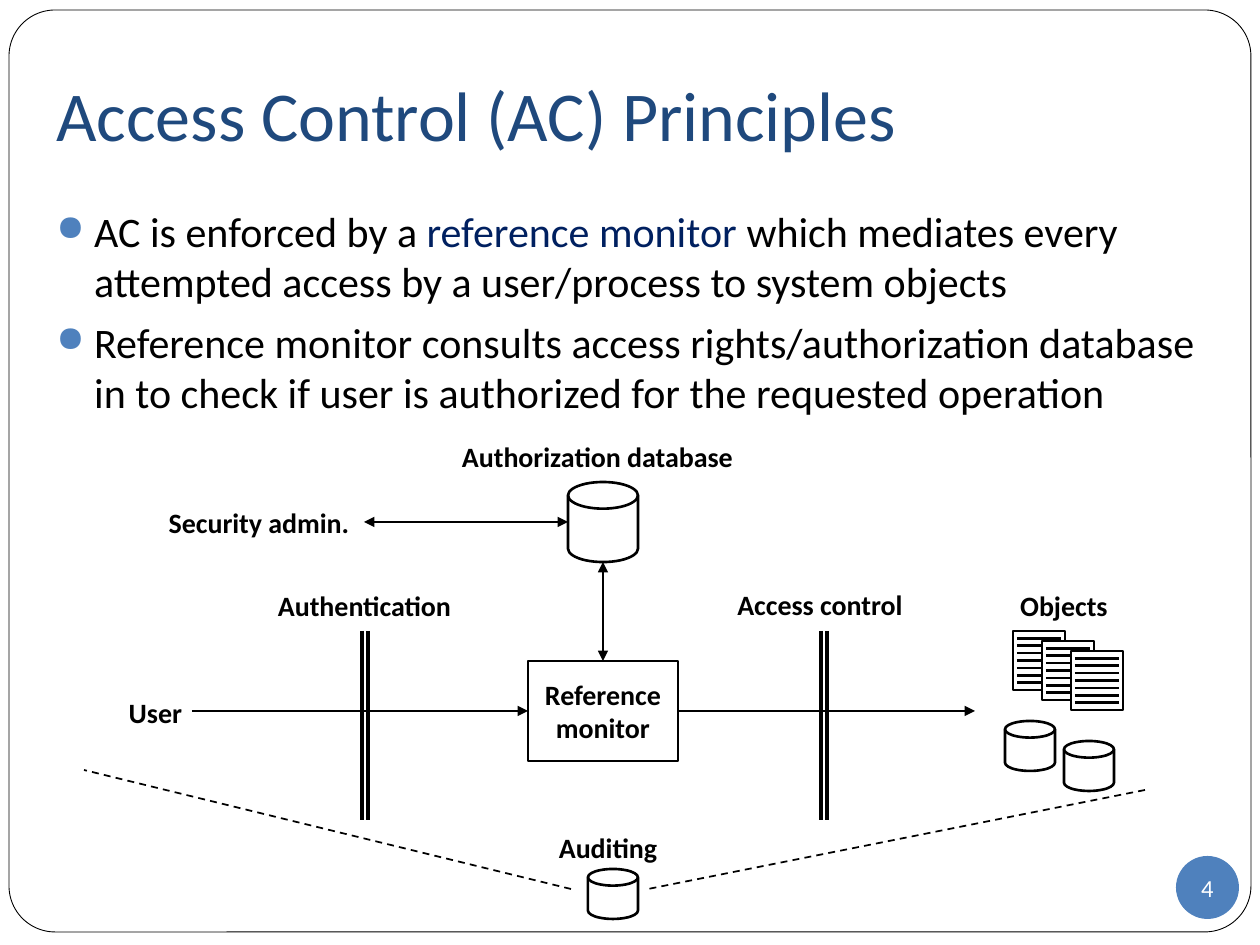
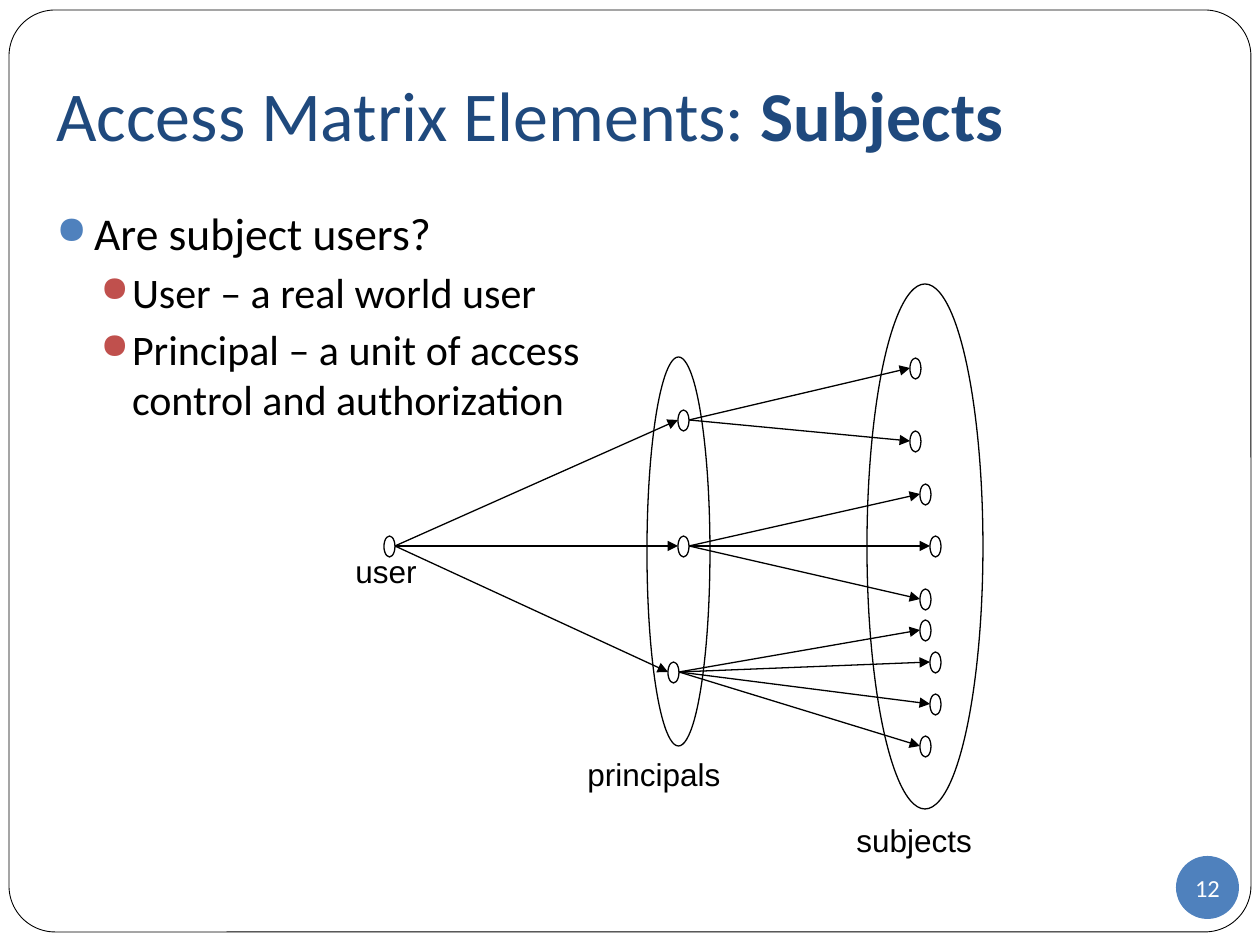
from lxml import etree
from pptx import Presentation
from pptx import util as u
from pptx.dml.color import RGBColor
from pptx.enum import dml, shapes, text
from pptx.oxml import ns

PX = u.Inches(1) / 126
BLACK, WHITE, BLUE, RED = "000000", "FFFFFF", "4F81BD", "C0504D"
TITLE_BLUE, TERM_BLUE = "1F497D", "002060"
SHAPE = shapes.MSO_SHAPE
CENTER = text.PP_ALIGN.CENTER


def px(length):
    return round(length * PX)


def color(code):
    return RGBColor.from_string(code)


def add_child(parent, tag, **attributes):
    return etree.SubElement(parent, ns.qn(tag), attributes)


def style_font(font, size, name="Calibri", code=BLACK, bold=None):
    font.size, font.name, font.bold = u.Pt(size), name, bold
    font.color.rgb = color(code)


# Basic elements
def add_figure(page, kind, left, top, width, height, fill=WHITE, line=1.5):
    figure = page.shapes.add_shape(kind, px(left), px(top), px(width), px(height))
    figure.shadow.inherit = False
    if fill:
        figure.fill.solid()
        figure.fill.fore_color.rgb = color(fill)
    else:
        figure.fill.background()
    if line:
        figure.line.color.rgb = color(BLACK)
        figure.line.width = u.Pt(line)
    else:
        figure.line.fill.background()
    return figure


def add_line(page, start, end, width=1.5, head=False, tail=False, dashed=False):
    line = page.shapes.add_connector(
        shapes.MSO_CONNECTOR.STRAIGHT, *[px(value) for value in (*start, *end)])
    line.line.color.rgb = color(BLACK)
    line.line.width = u.Pt(width)
    if dashed:
        line.line.dash_style = dml.MSO_LINE.DASH
    properties = line.element.spPr
    outline = properties.find(ns.qn("a:ln"))
    for wanted, tag in ((head, "a:headEnd"), (tail, "a:tailEnd")):
        if wanted:
            add_child(outline, tag, type="triangle")
    add_child(properties, "a:effectLst")
    return line


def add_box(page, left, top, width, height):
    box = page.shapes.add_textbox(px(left), px(top), px(width), px(height))
    box.text_frame.word_wrap = True
    return box.text_frame


def add_label(page, words, left, top, width):
    frame = add_box(page, left, top, width, 47)
    frame.auto_size = text.MSO_AUTO_SIZE.SHAPE_TO_FIT_TEXT
    para = frame.paragraphs[0]
    para.text = words
    return para


def add_bold_label(page, words, left, top, width):
    para = add_label(page, words, left, top, width)
    para.alignment = CENTER
    style_font(para.font, 16, bold=True)


def add_set_label(page, words, left, top, width):
    para = add_label(page, words, left, top, width)
    para.space_before = u.Pt(11.2)
    style_font(para.font, 18, "Arial")


# Parts that every slide shares
def add_page(deck, title, number, bold_part=""):
    page = deck.slides.add_slide(deck.slide_layouts[6])
    border = add_figure(page, SHAPE.ROUNDED_RECTANGLE, 9, 10, 1242, 922, line=0.5)
    border.adjustments[0] = 0.05

    frame = add_box(page, 44, 38, 1181, 158)
    frame.vertical_anchor = text.MSO_ANCHOR.MIDDLE
    frame.margin_bottom = u.Inches(0.1)
    para = frame.paragraphs[0]
    style_font(para.font, 40, code=TITLE_BLUE)
    para.add_run().text = title
    if bold_part:
        span = para.add_run()
        span.text = bold_part
        span.font.bold = True

    badge = add_figure(page, SHAPE.OVAL, 1176, 856, 63, 63, BLUE, None).text_frame
    badge.margin_left = badge.margin_right = badge.margin_top = badge.margin_bottom = 0
    badge.word_wrap = False
    badge.vertical_anchor = text.MSO_ANCHOR.MIDDLE
    para = badge.paragraphs[0]
    para.text = str(number)
    para.alignment = CENTER
    style_font(para.font, 14, code=WHITE)
    return page


def add_bullets(page, width, height, items):
    """Each item is (level, size, spans); each span is (words, colour)."""
    frame = add_box(page, 44, 199, width, height)
    for index, (level, size, spans) in enumerate(items):
        para = frame.add_paragraph() if index else frame.paragraphs[0]
        para.level = level
        indent, hanging, before, dot = (
            (0.6, 0.25, 3.7, RED) if level else (0.3, 0.3, 5.8, BLUE))
        properties = para._p.get_or_add_pPr()
        properties.set("marL", str(u.Inches(indent)))
        properties.set("indent", str(-u.Inches(hanging)))
        add_child(add_child(properties, "a:buClr"), "a:srgbClr", val=dot)
        add_child(properties, "a:buSzPct", val="85000")
        add_child(properties, "a:buChar", char="●")
        para.space_before = u.Pt(before)
        style_font(para.font, size)
        for words, code in spans:
            span = para.add_run()
            span.text = words
            span.font.color.rgb = color(code)


# Diagram parts
def add_disk(page, left, top, width=50, height=50):
    add_figure(page, SHAPE.FLOWCHART_MAGNETIC_DISK, left, top, width, height)


def add_document(page, left, top):
    width, height, rows = 52, 59, 7
    add_figure(page, SHAPE.RECTANGLE, left, top, width, height)
    for row in range(1, rows + 1):
        y = top + height * row / (rows + 1)
        add_line(page, (left + 4, y), (left + width - 4, y))


def add_gate(page, left):
    for x in (left, left + 6):
        add_line(page, (x, 631), (x, 820), 2.25)


def add_node(page, left, middle):
    add_figure(page, SHAPE.OVAL, left, middle - 10, 11, 21, None, 0.75)


def add_branch(page, source, target):
    add_line(page, (source[0] + 11, source[1]), target, 0.75, tail=True)


def build_principles(deck):
    page = add_page(deck, "Access Control (AC) Principles", 4)
    add_bullets(page, 1181, 709, [
        (0, 24, [("AC is enforced by a ", BLACK), ("reference monitor ", TERM_BLUE),
                 ("which mediates every attempted access by a user/process "
                  "to system objects", BLACK)]),
        (0, 24, [("Reference monitor consults access rights/authorization database "
                  "in to check if user is authorized for the requested operation",
                  BLACK)]),
    ])

    # Reference monitor and authorization database
    monitor = add_figure(page, SHAPE.RECTANGLE, 528, 661, 150, 100)
    monitor.text_frame.word_wrap = True
    monitor.text_frame.vertical_anchor = text.MSO_ANCHOR.MIDDLE
    para = monitor.text_frame.paragraphs[0]
    para.text = "Reference monitor"
    para.alignment = CENTER
    style_font(para.font, 16, bold=True)
    add_disk(page, 568, 482, 70, 80)

    # Access flow
    add_line(page, (603, 661), (603, 562), head=True, tail=True).begin_connect(monitor, 0)
    add_line(page, (678, 711), (975, 711), tail=True).begin_connect(monitor, 3)
    add_line(page, (192, 711), (528, 711), tail=True).end_connect(monitor, 1)
    add_line(page, (568, 522), (364, 522), head=True, tail=True)
    for left in (362, 821):
        add_gate(page, left)

    # Protected objects
    for index in range(3):
        add_document(page, 1013 + 29 * index, 631 + 10 * index)
    add_disk(page, 1005, 721)
    add_disk(page, 1064, 741)

    # Auditing scope
    add_line(page, (1145, 790), (648, 889), 1, dashed=True)
    add_line(page, (571, 889), (84, 770), 1, dashed=True)
    add_disk(page, 588, 869)

    for label in (
        ("Authorization database", 449, 433, 297),
        ("Security admin.", 155, 499, 208),
        ("Authentication", 261, 582, 207),
        ("Access control", 721, 581, 198),
        ("Objects", 965, 582, 198),
        ("User", 91, 689, 129),
        ("Auditing", 509, 824, 198),
    ):
        add_bold_label(page, *label)


def build_subjects(deck):
    page = add_page(deck, "Access Matrix Elements: ", 12, "Subjects")
    add_bullets(page, 586, 292, [
        (0, 26, [("Are subject users?", BLACK)]),
        (1, 24, [("User – a real world user", BLACK)]),
        (1, 24, [("Principal – a unit of access control and authorization", BLACK)]),
    ])

    # Left end and middle height of each node; principals map to their subjects
    user = (384, 546)
    subjects_of = {
        (678, 420): [(910, 368), (910, 441)],
        (678, 546): [(920, 494), (930, 546), (920, 599)],
        (668, 672): [(920, 630), (930, 662), (930, 704), (920, 746)],
    }
    add_node(page, *user)
    for principal, subjects in subjects_of.items():
        add_branch(page, user, principal)
        add_node(page, *principal)
        for subject in subjects:
            add_branch(page, principal, subject)
            add_node(page, *subject)

    # Sets around the nodes
    for outline in ((647, 357, 63, 389), (867, 284, 116, 525)):
        add_figure(page, SHAPE.OVAL, *outline, None, 0.75)
    for label in (("user", 343, 546, 116), ("principals", 575, 749, 210),
                  ("subjects", 844, 815, 168)):
        add_set_label(page, *label)


def main():
    deck = Presentation()
    deck.slide_width, deck.slide_height = px(1260), px(945)
    build_principles(deck)
    build_subjects(deck)
    deck.save("out.pptx")


if __name__ == "__main__":
    main()
